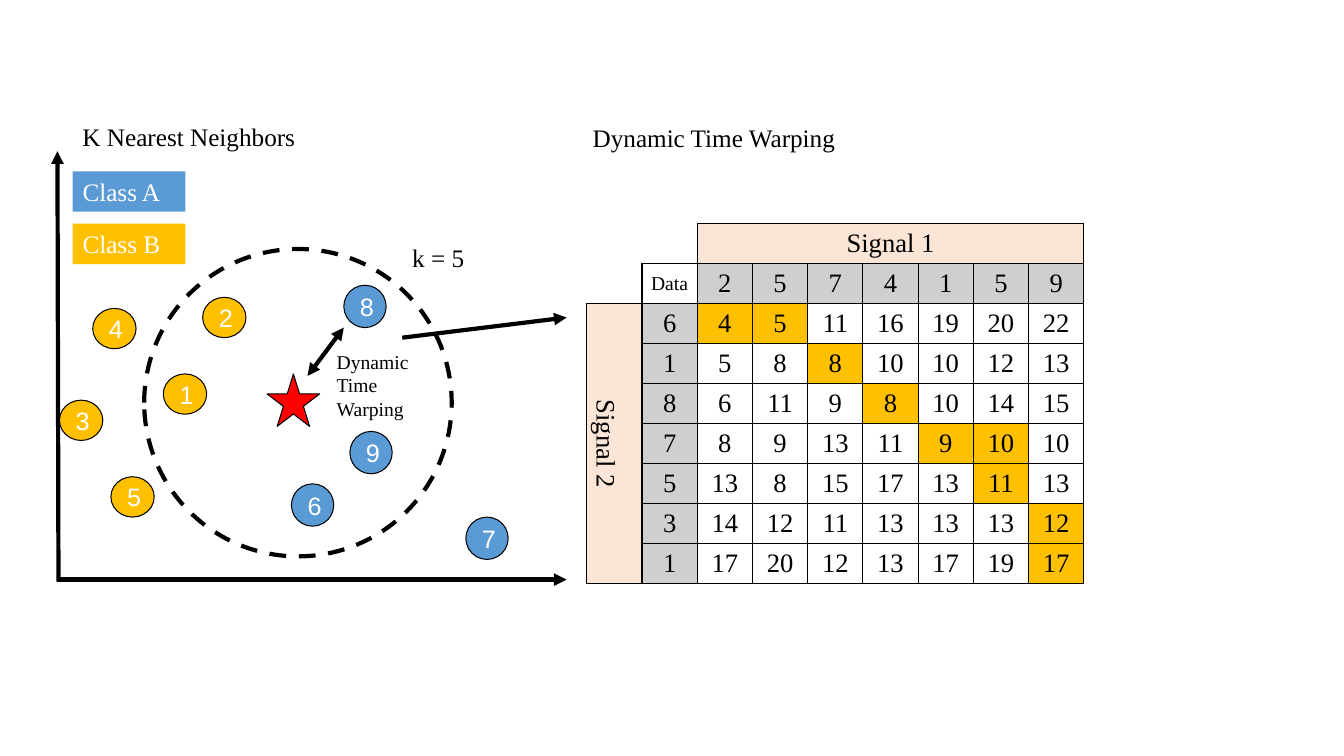
from dataclasses import dataclass

from lxml import etree
from pptx import Presentation
from pptx.dml.color import RGBColor
from pptx.enum.dml import MSO_LINE_DASH_STYLE as Dash
from pptx.enum.shapes import MSO_CONNECTOR, MSO_SHAPE as Preset
from pptx.enum.text import MSO_ANCHOR as Anchor, MSO_AUTO_SIZE as AutoSize, PP_ALIGN as Align
from pptx.oxml.ns import qn
from pptx.shapes.autoshape import Shape
from pptx.slide import Slide
from pptx.table import _Cell as Cell
from pptx.text.text import TextFrame
from pptx.util import Emu, Pt

EMU_PER_PX = 9144  # 100 px to the inch
BLACK, WHITE, RED = "000000", "FFFFFF", "FF0000"
CLASS_A, CLASS_B = "5B9BD5", "FFC000"
SIGNAL, SAMPLE = "FBE5D6", "D0CECE"
SERIF, SANS = "Times New Roman", "Arial"
NO_TABLE_STYLE = "{2D5ABB26-0587-4C30-8999-92F81FD0307C}"


@dataclass
class Box:
    left: int
    top: int
    width: int
    height: int


@dataclass
class Neighbor:
    label: str
    left: int
    top: int
    fill: str


@dataclass
class Arrow:
    start: tuple[int, int]
    end: tuple[int, int]
    both_ends: bool = False


@dataclass
class Label:
    text: str
    box: Box
    size: int = 18
    color: str = BLACK
    fill: str | None = None


NEIGHBOR_SIZE = {CLASS_A: (42, 42), CLASS_B: (43, 40)}
NEIGHBORS = [
    Neighbor("6", 289, 480, CLASS_A),
    Neighbor("7", 462, 513, CLASS_A),
    Neighbor("8", 341, 283, CLASS_A),
    Neighbor("9", 347, 428, CLASS_A),
    Neighbor("1", 162, 371, CLASS_B),
    Neighbor("3", 59, 397, CLASS_B),
    Neighbor("2", 201, 295, CLASS_B),
    Neighbor("5", 110, 473, CLASS_B),
    Neighbor("4", 92, 306, CLASS_B),
]
AXES = [Arrow((57, 575), (562, 575)), Arrow((58, 577), (57, 150))]
DISTANCE_ARROWS = [Arrow((305, 373), (341, 325), True), Arrow((399, 335), (562, 315))]
LABELS = [
    Label("Class A", Box(72, 170, 112, 40), color=WHITE, fill=CLASS_A),
    Label("Class B", Box(72, 222, 112, 40), color=WHITE, fill=CLASS_B),
    Label("Dynamic\nTime\nWarping", Box(324, 342, 121, 81), size=14),
    Label("k = 5", Box(399, 236, 121, 40)),
    Label("K Nearest Neighbors", Box(72, 115, 343, 40)),
    Label("Dynamic Time Warping", Box(578, 116, 343, 40)),
]

TABLE_BOX = Box(582, 222, 493, 355)
GRID = 9
SIGNAL_1 = [2, 5, 7, 4, 1, 5, 9]
SIGNAL_2 = [6, 1, 8, 7, 5, 3, 1]
COSTS = [
    [4, 5, 11, 16, 19, 20, 22],
    [5, 8, 8, 10, 10, 12, 13],
    [6, 11, 9, 8, 10, 14, 15],
    [8, 9, 13, 11, 9, 10, 10],
    [13, 8, 15, 17, 13, 11, 13],
    [14, 12, 11, 13, 13, 13, 12],
    [17, 20, 12, 13, 17, 19, 17],
]
WARPING_CELLS = {(0, 0), (0, 1), (1, 2), (2, 3), (3, 4), (3, 5), (4, 5), (5, 6), (6, 6)}


def px(value: int) -> Emu:
    return Emu(value * EMU_PER_PX)


def place(box: Box) -> tuple[Emu, Emu, Emu, Emu]:
    return px(box.left), px(box.top), px(box.width), px(box.height)


def rgb(color: str) -> RGBColor:
    return RGBColor.from_string(color)


def write(frame: TextFrame, text: str, size: int, font: str, color: str, align: Align) -> None:
    frame.text = text
    for paragraph in frame.paragraphs:
        paragraph.alignment = align
        for run in paragraph.runs:
            run.font.size = Pt(size)
            run.font.name = font
            run.font.color.rgb = rgb(color)


def add_outlined(slide: Slide, preset: Preset, box: Box, fill: str | None, weight: float) -> Shape:
    shape = slide.shapes.add_shape(preset, *place(box))
    shape.shadow.inherit = False
    if fill:
        shape.fill.solid()
        shape.fill.fore_color.rgb = rgb(fill)
    else:
        shape.fill.background()
    shape.line.color.rgb = rgb(BLACK)
    shape.line.width = Pt(weight)
    return shape


def add_neighbor(slide: Slide, neighbor: Neighbor) -> None:
    box = Box(neighbor.left, neighbor.top, *NEIGHBOR_SIZE[neighbor.fill])
    shape = add_outlined(slide, Preset.OVAL, box, neighbor.fill, 0.75)
    shape.text_frame.vertical_anchor = Anchor.MIDDLE
    write(shape.text_frame, neighbor.label, 18, SANS, WHITE, Align.CENTER)


def add_arrow(slide: Slide, arrow: Arrow) -> None:
    points = [px(value) for value in (*arrow.start, *arrow.end)]
    connector = slide.shapes.add_connector(MSO_CONNECTOR.STRAIGHT, *points)
    connector.line.color.rgb = rgb(BLACK)
    connector.line.width = Pt(3)
    line = connector.line._get_or_add_ln()
    for tag in ("a:headEnd", "a:tailEnd") if arrow.both_ends else ("a:tailEnd",):
        etree.SubElement(line, qn(tag), type="triangle")
    etree.SubElement(connector._element.spPr, qn("a:effectLst"))


def add_label(slide: Slide, label: Label) -> None:
    shape = slide.shapes.add_textbox(*place(label.box))
    if label.fill:
        shape.fill.solid()
        shape.fill.fore_color.rgb = rgb(label.fill)
    shape.text_frame.word_wrap = True
    shape.text_frame.auto_size = AutoSize.SHAPE_TO_FIT_TEXT
    write(shape.text_frame, label.text, label.size, SERIF, label.color, Align.LEFT)


def set_borders(cell: Cell, sides: str) -> None:
    """Draw the given sides, a subset of "LRTB", in black; hide the others."""
    properties = cell._tc.get_or_add_tcPr()
    for side in "LRTB":
        line = etree.SubElement(properties, qn(f"a:ln{side}"), w=str(Pt(1)))
        if side in sides:
            fill = etree.SubElement(line, qn("a:solidFill"))
            etree.SubElement(fill, qn("a:srgbClr"), val=BLACK)
        else:
            etree.SubElement(line, qn("a:noFill"))


def cell_fill(row: int, column: int) -> str | None:
    """Colour by role; rows and columns 0 and 1 hold the signals' names and samples."""
    if row < 2 and column < 2:
        return None
    if (row - 2, column - 2) in WARPING_CELLS:
        return CLASS_B
    if row == 0 or column == 0:
        return SIGNAL
    return SAMPLE if row == 1 or column == 1 else None


def add_cost_table(slide: Slide) -> None:
    table = slide.shapes.add_table(GRID, GRID, *place(TABLE_BOX)).table
    table.first_row = table.horz_banding = False
    table._tbl.tblPr.find(qn("a:tableStyleId")).text = NO_TABLE_STYLE
    for column in table.columns:
        column.width = px(TABLE_BOX.width) // GRID
    for row in table.rows:
        row.height = px(TABLE_BOX.height) // GRID

    texts = [["", "", "Signal 1"] + [""] * 6, ["", "Data", *SIGNAL_1]]
    texts += [["", sample, *costs] for sample, costs in zip(SIGNAL_2, COSTS)]
    texts[2][0] = "Signal 2"
    corner_borders = {(0, 0): "", (0, 1): "RB", (1, 0): "RB"}
    for row, values in enumerate(texts):
        for column, value in enumerate(values):
            cell = table.cell(row, column)
            cell.margin_left = cell.margin_right = px(8)
            cell.margin_top = cell.margin_bottom = px(4)
            cell.vertical_anchor = Anchor.MIDDLE
            set_borders(cell, corner_borders.get((row, column), "LRTB"))
            fill = cell_fill(row, column)
            if fill:
                cell.fill.solid()
                cell.fill.fore_color.rgb = rgb(fill)
            else:
                cell.fill.background()
            size = 14 if value == "Data" else 19
            write(cell.text_frame, str(value), size, SERIF, BLACK, Align.CENTER)

    table.cell(0, 0).merge(table.cell(0, 1))
    table.cell(0, 2).merge(table.cell(0, GRID - 1))
    signal_2 = table.cell(2, 0)
    signal_2.merge(table.cell(GRID - 1, 0))
    signal_2._tc.tcPr.set("vert", "vert")


def main() -> None:
    presentation = Presentation()
    presentation.slide_width, presentation.slide_height = px(1333), px(750)
    slide = presentation.slides.add_slide(presentation.slide_layouts[6])
    for axis in AXES:
        add_arrow(slide, axis)
    for neighbor in NEIGHBORS:
        add_neighbor(slide, neighbor)
    add_outlined(slide, Preset.STAR_5_POINT, Box(265, 371, 52, 52), RED, 0.75)
    neighborhood = add_outlined(slide, Preset.OVAL, Box(143, 247, 305, 305), None, 3)
    neighborhood.line.dash_style = Dash.DASH
    for label in LABELS:
        add_label(slide, label)
    add_cost_table(slide)
    for arrow in DISTANCE_ARROWS:
        add_arrow(slide, arrow)
    presentation.save("out.pptx")


if __name__ == "__main__":
    main()
